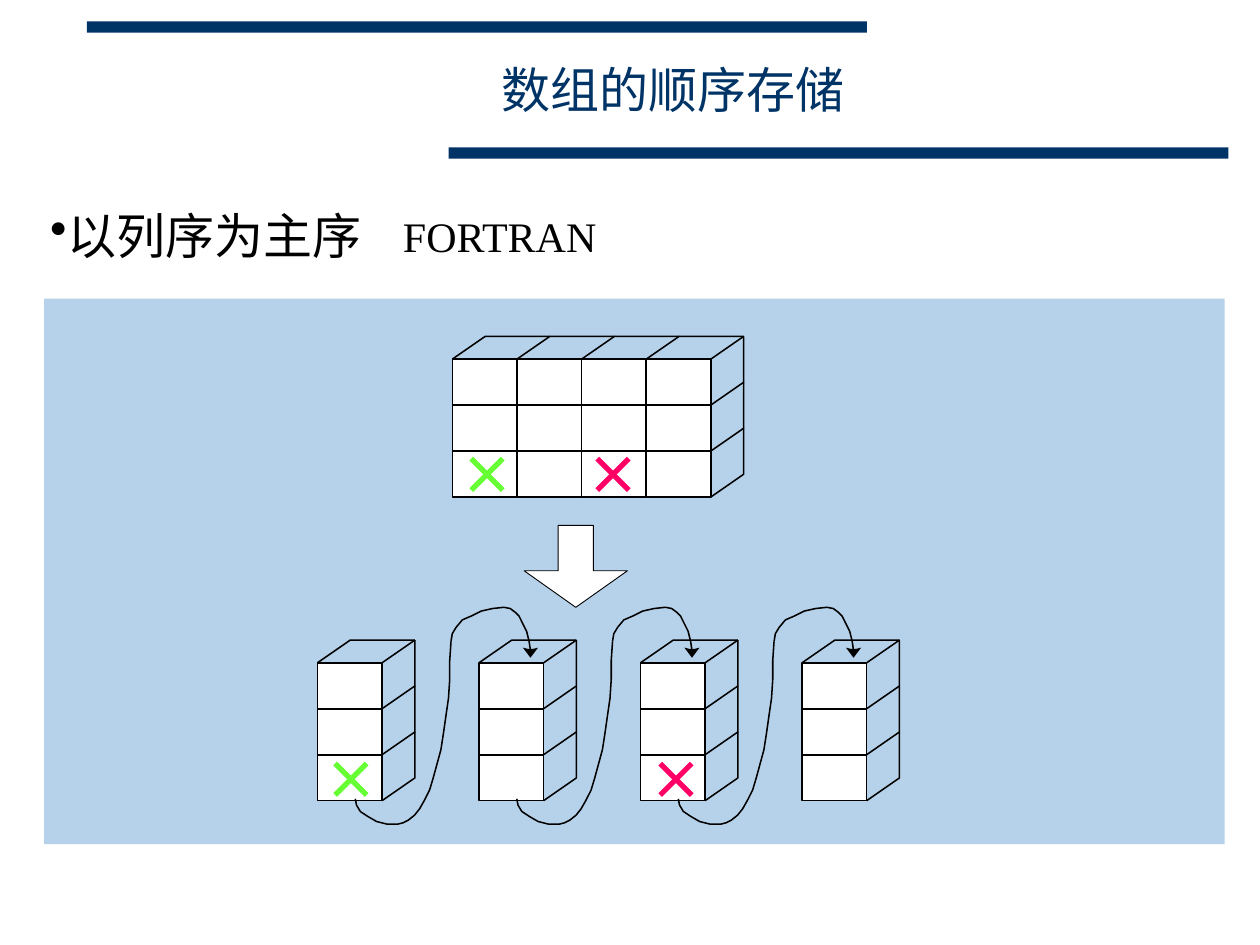
from lxml.etree import SubElement
from pptx import Presentation
from pptx.dml.color import RGBColor
from pptx.enum.shapes import MSO_CONNECTOR, MSO_SHAPE
from pptx.enum.text import MSO_ANCHOR, PP_ALIGN
from pptx.oxml.ns import qn
from pptx.util import Inches, Pt

NAVY, PALE_BLUE, WHITE, BLACK = "003366", "B6D2EA", "FFFFFF", "000000"
GREEN, PINK = "66FF33", "FF0066"
FONT = "Times New Roman"

TITLE = "数组的顺序存储"
BULLET = "以列序为主序"
LANGUAGE = "FORTRAN"

BARS = [(0.69, 0.17, 6.19, 0.09, NAVY), (3.56, 1.17, 6.19, 0.09, NAVY),
        (0.35, 2.37, 9.37, 4.33, PALE_BLUE)]

CELL_WIDTH, CELL_HEIGHT, ROWS = 0.513, 0.365, 3
DEPTH_X, DEPTH_Y = 0.26, 0.18
ARRAY_LEFT, ARRAY_TOP, ARRAY_COLUMNS = 3.59, 2.85, 4
COLUMN_LEFT, COLUMN_TOP, COLUMN_PITCH = 2.52, 5.26, 1.282

CROSSES = [(4.74, 3.64, PINK), (5.24, 6.06, PINK), (2.66, 6.06, GREEN), (3.74, 3.64, GREEN)]
CROSS_SIZE = 0.25

DOWN_ARROW = [(4.57, 4.82), (4.16, 4.53), (4.43, 4.53), (4.43, 4.17),
              (4.71, 4.17), (4.71, 4.53), (4.98, 4.53)]
RISING_CURVE = [(2.82, 6.34), (2.83, 6.39), (2.86, 6.44), (2.92, 6.48), (2.99, 6.52),
                (3.07, 6.54), (3.16, 6.54), (3.2, 6.53), (3.24, 6.51), (3.29, 6.47),
                (3.33, 6.42), (3.37, 6.35), (3.41, 6.27), (3.44, 6.17), (3.47, 6.06),
                (3.5, 5.95), (3.52, 5.82), (3.54, 5.68), (3.56, 5.54), (3.57, 5.39),
                (3.57, 5.24), (3.58, 5.09)]
FALLING_CURVE = [(3.58, 5.09), (3.59, 5.03), (3.62, 4.98), (3.67, 4.92), (3.74, 4.89),
                 (3.82, 4.85), (3.91, 4.83), (4, 4.82), (4.05, 4.83), (4.09, 4.86),
                 (4.12, 4.89), (4.15, 4.95), (4.18, 5.01), (4.2, 5.09), (4.21, 5.16)]
CURVE_TIP = [(4.21, 5.22), (4.27, 5.14), (4.23, 5.15), (4.19, 5.15), (4.15, 5.14)]


def color(value):
    return RGBColor.from_string(value)


def paint(shape, fill=None, line=None, width=0.88):
    shape.shadow.inherit = False
    if fill:
        shape.fill.solid()
        shape.fill.fore_color.rgb = color(fill)
    else:
        shape.fill.background()
    if line:
        shape.line.color.rgb = color(line)
        shape.line.width = Pt(width)
    else:
        shape.line.fill.background()


def add_rectangle(shapes, left, top, width, height, fill, line=None):
    shape = shapes.add_shape(MSO_SHAPE.RECTANGLE, Inches(left), Inches(top),
                             Inches(width), Inches(height))
    paint(shape, fill, line)


def add_outline(shapes, points, fill=None, line=BLACK, width=0.88, close=False):
    corners = [(Inches(x), Inches(y)) for x, y in points]
    builder = shapes.build_freeform(*corners[0])
    builder.add_line_segments(corners[1:], close=close)
    paint(builder.convert_to_shape(), fill, line, width)


def add_line(shapes, start, end, line=BLACK, width=0.88):
    connector = shapes.add_connector(MSO_CONNECTOR.STRAIGHT,
                                     *(Inches(value) for value in start + end))
    connector.line.color.rgb = color(line)
    connector.line.width = Pt(width)
    SubElement(connector._element.spPr, qn("a:effectLst"))


def add_block(left, top, columns):
    shapes = slide.shapes.add_group_shape().shapes
    right = left + columns * CELL_WIDTH
    back_right, back_top = right + DEPTH_X, top - DEPTH_Y
    for column in range(columns):
        x = left + column * CELL_WIDTH
        for row in range(ROWS):
            add_rectangle(shapes, x, top + row * CELL_HEIGHT,
                          CELL_WIDTH, CELL_HEIGHT, WHITE, BLACK)
        add_outline(shapes, [(x, top), (x + DEPTH_X, back_top),
                             (x + DEPTH_X + CELL_WIDTH, back_top)])
    add_line(shapes, (right, top), (back_right, back_top))
    for row in range(ROWS):
        upper = back_top + row * CELL_HEIGHT
        lower = upper + CELL_HEIGHT
        add_outline(shapes, [(right, lower + DEPTH_Y), (back_right, lower), (back_right, upper)])


def add_link(offset):
    shapes = slide.shapes.add_group_shape().shapes
    rising, falling, tip = ([(x + offset, y) for x, y in points]
                            for points in (RISING_CURVE, FALLING_CURVE, CURVE_TIP))
    add_outline(shapes, rising)
    add_outline(shapes, falling)
    add_outline(shapes, tip, fill=BLACK, line=None, close=True)


def add_cross(left, top, line):
    shapes = slide.shapes.add_group_shape().shapes
    right, bottom = left + CROSS_SIZE, top + CROSS_SIZE
    add_line(shapes, (right, top), (left, bottom), line, 3)
    add_line(shapes, (left, top), (right, bottom), line, 3)


def add_text(text, left, top, width, height, size, ink, wrap=False):
    box = slide.shapes.add_textbox(Inches(left), Inches(top), Inches(width), Inches(height))
    box.text_frame.word_wrap = wrap
    paragraph = box.text_frame.paragraphs[0]
    paragraph.text = text
    paragraph.font.name = FONT
    paragraph.font.size = Pt(size)
    paragraph.font.color.rgb = color(ink)
    return box.text_frame, paragraph


presentation = Presentation()
presentation.slide_width, presentation.slide_height = Inches(10), Inches(7.5)
slide = presentation.slides.add_slide(presentation.slide_layouts[6])

for bar in BARS:
    add_rectangle(slide.shapes, *bar)

add_block(ARRAY_LEFT, ARRAY_TOP, ARRAY_COLUMNS)
add_outline(slide.shapes, DOWN_ARROW, WHITE, BLACK, 0.5, close=True)
for index in range(ARRAY_COLUMNS):
    add_block(COLUMN_LEFT + index * COLUMN_PITCH, COLUMN_TOP, 1)
for index in range(ARRAY_COLUMNS - 1):
    add_link(index * COLUMN_PITCH)
for cross in CROSSES:
    add_cross(*cross)

_, paragraph = add_text(BULLET, 0.3, 1.58, 2.67, 0.57, 28, BLACK)
properties = paragraph._p.get_or_add_pPr()
properties.set("marL", "0")
properties.set("indent", "0")
bullet = properties.makeelement(qn("a:buChar"), {"char": "•"})
properties.insert(0, bullet)

add_text(LANGUAGE, 3.1, 1.62, 1.76, 0.5, 24, BLACK)

frame, paragraph = add_text(TITLE, 2.43, 0.42, 5.82, 0.57, 28, NAVY, wrap=True)
frame.vertical_anchor = MSO_ANCHOR.MIDDLE
paragraph.alignment = PP_ALIGN.CENTER

presentation.save("out.pptx")
